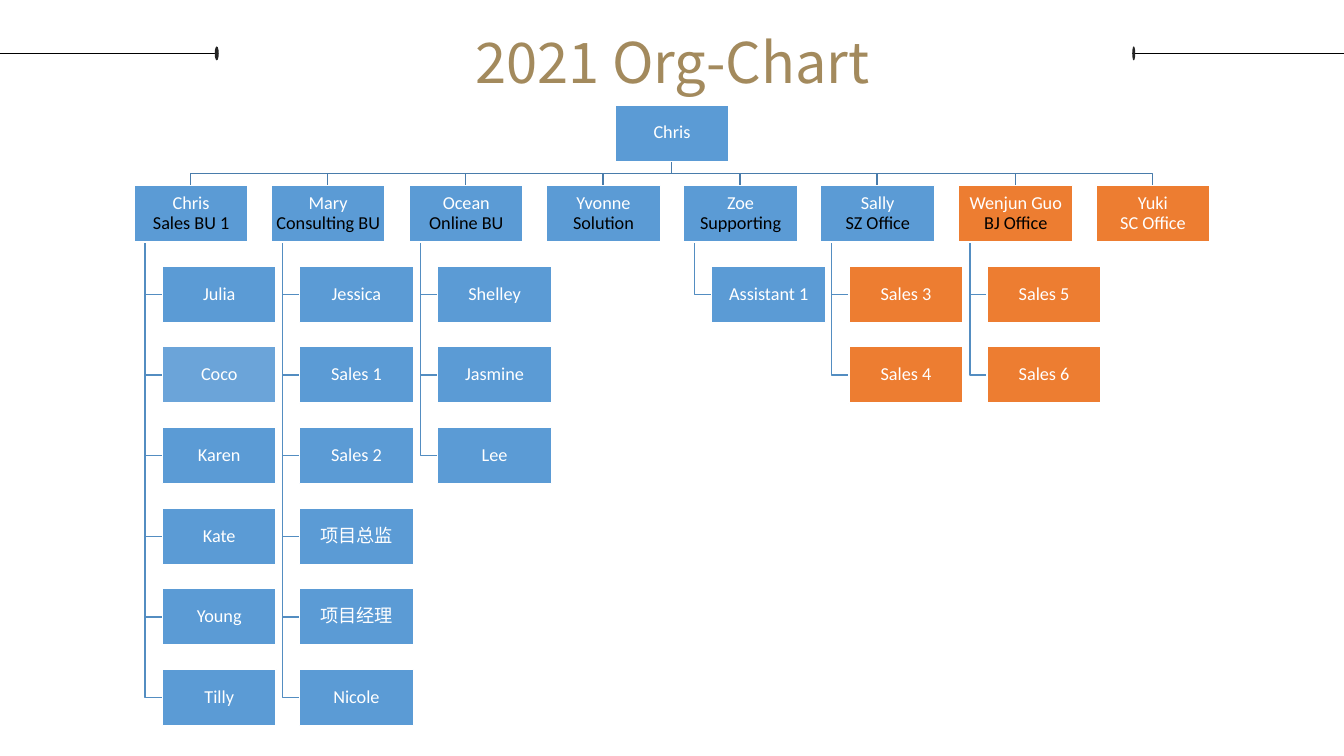
from lxml.etree import SubElement
from pptx import Presentation
from pptx.dml.color import RGBColor
from pptx.enum.shapes import MSO_CONNECTOR as Connector, MSO_SHAPE as Shape
from pptx.enum.text import MSO_ANCHOR as Anchor, MSO_AUTO_SIZE as AutoSize, PP_ALIGN as Align
from pptx.oxml.ns import qn
from pptx.util import Pt

SCALE = 9144
COLORS = {
    "blue": "5B9BD5", "orange": "ED7D31", "white": "FFFFFF", "black": "000000",
    "gold": "A38A5D", "dot": "252525", "branch": "497CAB", "twig": "538DC1",
}
BOX_WIDTH, BOX_HEIGHT, ROW_PITCH = 113, 56, 80
STEM_INSET, MEMBER_INDENT = 11, 28
TEAMS = [
    ("Chris", "Sales BU 1", "black", "blue", "blue",
     ["Julia", "Coco", "Karen", "Kate", "Young", "Tilly"]),
    ("Mary", "Consulting BU", "black", "blue", "blue",
     ["Jessica", "Sales 1", "Sales 2", "项目总监", "项目经理", "Nicole"]),
    ("Ocean", "Online BU", "black", "blue", "blue", ["Shelley", "Jasmine", "Lee"]),
    ("Yvonne", "Solution", "black", "blue", "blue", []),
    ("Zoe", "Supporting", "black", "blue", "blue", ["Assistant 1"]),
    ("Sally", "SZ Office", "black", "blue", "orange", ["Sales 3", "Sales 4"]),
    ("Wenjun Guo", "BJ Office", "black", "orange", "orange", ["Sales 5", "Sales 6"]),
    ("Yuki", "SC Office", "white", "orange", "orange", []),
]
OPACITY = {"Coco": 90}


def px(*lengths):
    """Turn pixel lengths into EMU."""
    return [round(length * SCALE) for length in lengths]


def rgb(name):
    """Look up a named colour."""
    return RGBColor.from_string(COLORS[name])


def add_span(para, text, size, font, color):
    """Add one formatted run to a paragraph."""
    span = para.add_run()
    span.text = text
    span.font.size = Pt(size)
    span.font.name = font
    span.font.color.rgb = rgb(color)


def add_title(page, left, top, width, height):
    """Place the heading in the title placeholder."""
    box = page.shapes.title
    box.left, box.top, box.width, box.height = px(left, top, width, height)
    frame = box.text_frame
    frame.word_wrap = True
    frame.auto_size = AutoSize.SHAPE_TO_FIT_TEXT
    frame.vertical_anchor = Anchor.TOP
    para = frame.paragraphs[0]
    para.alignment = Align.CENTER
    para.line_spacing = 1.5
    add_span(para, "2021 Org-Chart", 40, "Noto Sans CJK SC", "gold")


def add_rule(page, start, end, y, dot_left, dot_width):
    """Draw a horizontal rule with a narrow dot at its inner end."""
    rule = page.shapes.add_connector(Connector.STRAIGHT, *px(start, y, end, y))
    rule.line.color.rgb = rgb("black")
    rule.line.width = Pt(0.75)
    SubElement(rule.element.spPr, qn("a:effectLst"))
    dot = page.shapes.add_shape(Shape.OVAL, *px(dot_left, y - 7, dot_width, 14))
    dot.shadow.inherit = False
    dot.fill.solid()
    dot.fill.fore_color.rgb = rgb("dot")
    dot.line.fill.background()


def add_elbow(page, points, color):
    """Draw an open angled line through the points."""
    builder = page.shapes.build_freeform(*points[0], scale=SCALE)
    builder.add_line_segments(points[1:], close=False)
    elbow = builder.convert_to_shape()
    elbow.shadow.inherit = False
    elbow.fill.background()
    elbow.line.color.rgb = rgb(color)
    elbow.line.width = Pt(1)


def add_person(page, left, top, fill, name, role=None, role_color="white"):
    """Draw a box with a name and, if given, a role under it."""
    box = page.shapes.add_shape(Shape.RECTANGLE, *px(left, top, BOX_WIDTH, BOX_HEIGHT))
    box.shadow.inherit = False
    box.fill.solid()
    box.fill.fore_color.rgb = rgb(fill)
    if name in OPACITY:
        color = box.element.spPr.find(qn("a:solidFill"))[0]
        SubElement(color, qn("a:alpha"), val=str(OPACITY[name] * 1000))
    box.line.color.rgb = rgb("white")
    box.line.width = Pt(1)
    frame = box.text_frame
    frame.word_wrap = True
    frame.vertical_anchor = Anchor.MIDDLE
    frame.margin_left, frame.margin_top, frame.margin_right, frame.margin_bottom = px(1, 1, 1, 1)
    para = frame.paragraphs[0]
    para.alignment = Align.CENTER
    para.line_spacing = 0.9
    add_span(para, name, 13, "Calibri", "white")
    if role:
        para.add_line_break()
        add_span(para, role, 13, "Calibri", role_color)


def add_team_lines(page, left, top, root_x, count):
    """Join a team lead to the root and to each member."""
    lead_x = left + BOX_WIDTH // 2
    bend = top - (ROW_PITCH - BOX_HEIGHT) // 2
    root_bottom = top - ROW_PITCH + BOX_HEIGHT
    add_elbow(page, [(root_x, root_bottom), (root_x, bend), (lead_x, bend), (lead_x, top)], "branch")
    stem = left + STEM_INSET
    for row in range(count, 0, -1):
        middle = top + row * ROW_PITCH + BOX_HEIGHT // 2
        add_elbow(page, [(stem, top + BOX_HEIGHT), (stem, middle),
                         (left + MEMBER_INDENT, middle)], "twig")


def add_org_chart(page, left, top, width):
    """Draw the root, the team leads and their members within the width."""
    pitch = (width - BOX_WIDTH) / (len(TEAMS) - 1)
    columns = [round(left + index * pitch) for index in range(len(TEAMS))]
    root_x = left + width // 2
    lead_top = top + ROW_PITCH
    for column, team in zip(columns, TEAMS):
        add_team_lines(page, column, lead_top, root_x, len(team[-1]))
    add_person(page, root_x - BOX_WIDTH // 2, top, "blue", "Chris")
    for column, (lead, role, role_color, lead_fill, fill, members) in zip(columns, TEAMS):
        add_person(page, column, lead_top, lead_fill, lead, role, role_color)
        for row, member in enumerate(members, 1):
            add_person(page, column + MEMBER_INDENT, lead_top + row * ROW_PITCH, fill, member)


def main():
    """Build and save the slide."""
    deck = Presentation()
    deck.slide_width, deck.slide_height = px(1333, 750)
    page = deck.slides.add_slide(deck.slide_layouts[5])
    add_rule(page, -2, 214, 53, 213, 4)
    add_rule(page, 1125, 1333, 53, 1123, 3)
    add_title(page, 210, -11, 914, 99)
    add_org_chart(page, 133, 104, 1067)
    deck.save("out.pptx")


if __name__ == "__main__":
    main()
